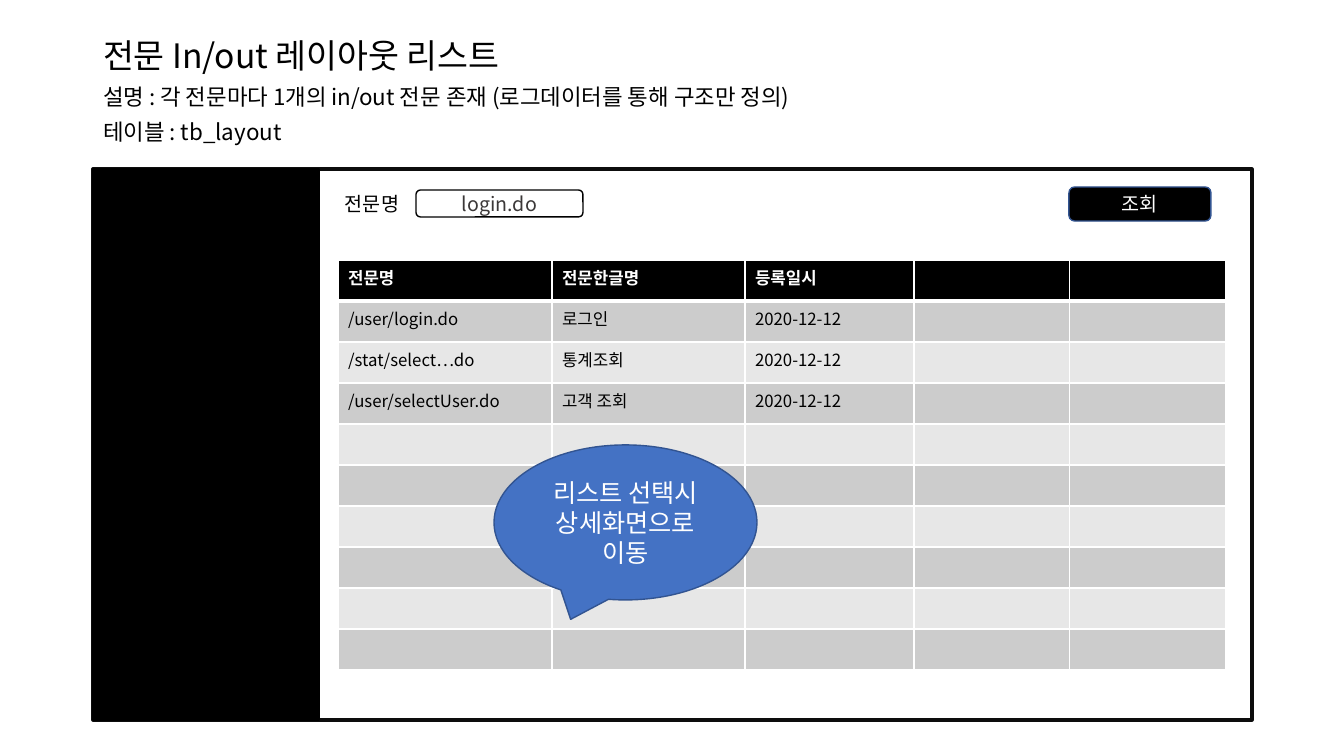
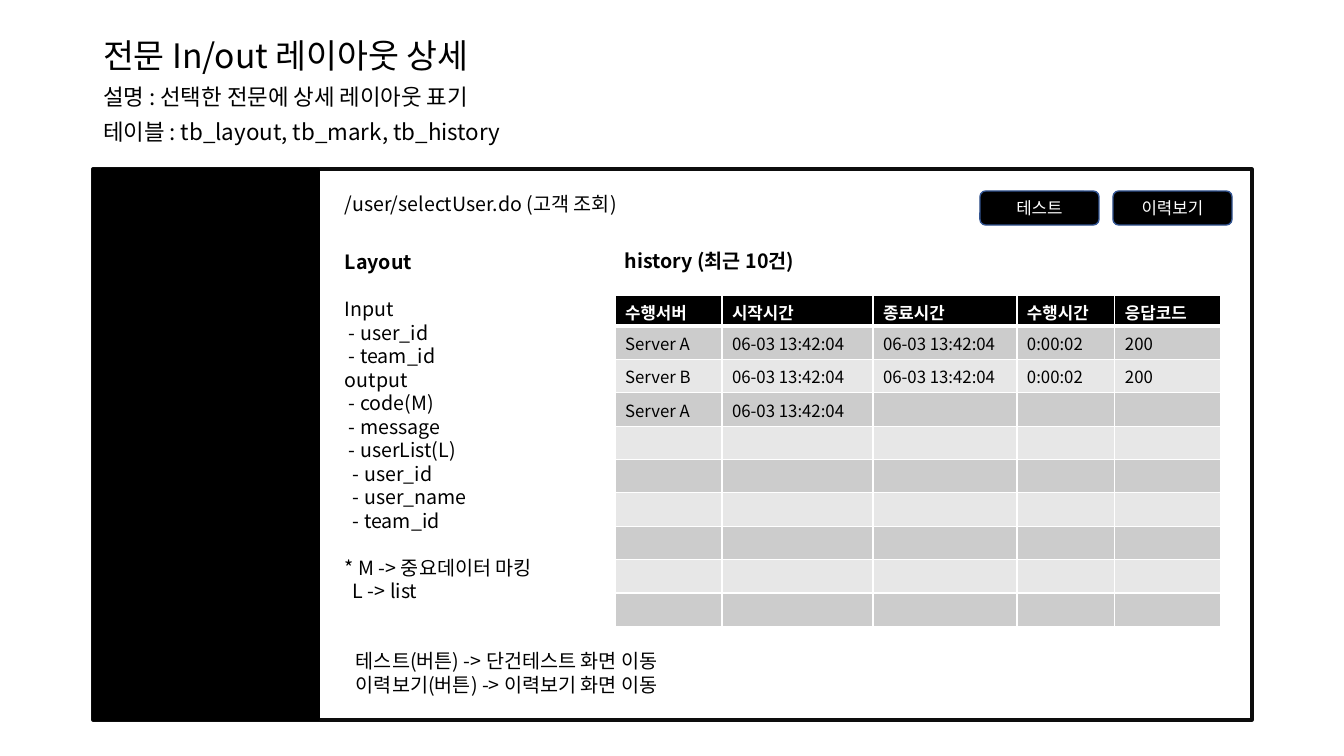
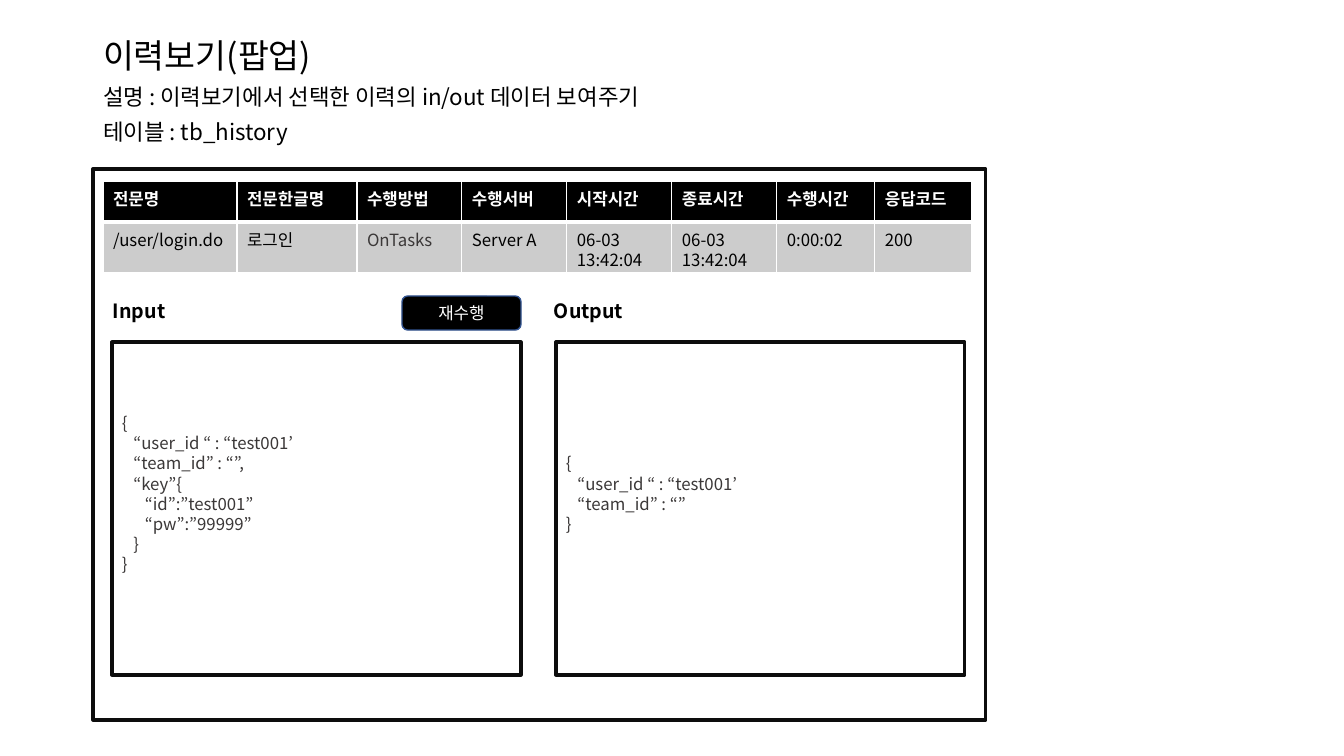
from dataclasses import dataclass

from lxml.etree import SubElement
from pptx import Presentation
from pptx.dml.color import RGBColor
from pptx.enum.shapes import MSO_SHAPE
from pptx.enum.text import MSO_ANCHOR, MSO_AUTO_SIZE, PP_ALIGN
from pptx.oxml.ns import qn
from pptx.util import Emu, Pt

PIXEL = 914400 / 100.8


def px(length):
    return Emu(round(length * PIXEL))


# Theme
@dataclass(frozen=True)
class Theme:
    font: str = "Noto Sans CJK KR"
    black: str = "000000"
    white: str = "FFFFFF"
    frame: str = "0D0D0D"
    muted: str = "3B3838"
    accent: str = "4472C4"
    edge: str = "325491"
    bands: tuple = ("CCCCCC", "E7E7E7")
    title: int = 24
    callout: int = 18
    subtitle: int = 16
    body: int = 14
    small: int = 12
    leading: float = 1.2
    tight: float = 0.96


@dataclass(frozen=True)
class Line:
    text: str
    indent: float = 0
    before: float = 0


class Wireframe:
    def __init__(self, theme):
        self.theme = theme
        self.deck = Presentation()
        self.deck.slide_width, self.deck.slide_height = px(1344), px(756)
        self.page = None

    def set_lines(self, frame, lines, size, color, bold=False,
                  align=PP_ALIGN.LEFT, leading=None):
        frame.word_wrap = True
        for number, line in enumerate(lines):
            if isinstance(line, str):
                line = Line(line)
            para = frame.paragraphs[0] if number == 0 else frame.add_paragraph()
            para.text = line.text
            para.alignment = align
            para.line_spacing = Pt(size * (leading or self.theme.leading))
            para.space_before = Pt(line.before)
            properties = para._p.get_or_add_pPr()
            properties.set("marL", str(px(line.indent)))
            properties.set("indent", "0")
            font = para.font
            font.name, font.size, font.bold = self.theme.font, Pt(size), bold
            font.color.rgb = RGBColor.from_string(color)
            SubElement(font._element, qn("a:ea"), typeface=self.theme.font)

    def heading(self, holder, place, lines, size):
        holder.left, holder.top, holder.width, holder.height = map(px, place)
        frame = holder.text_frame
        frame.auto_size = MSO_AUTO_SIZE.NONE
        frame.vertical_anchor = MSO_ANCHOR.TOP
        self.set_lines(frame, lines, size, self.theme.black,
                       leading=self.theme.tight)

    def start(self, title, description, tables):
        """Add a page with its heading lines."""
        self.page = self.deck.slides.add_slide(self.deck.slide_layouts[0])
        self.heading(self.page.shapes.title, (93, 38, 1008, 44), [title],
                     self.theme.title)
        self.heading(self.page.placeholders[1], (93, 83, 1008, 72),
                     [f"설명 : {description}", Line(f"테이블 : {tables}", before=10)],
                     self.theme.subtitle)

    def shape(self, kind, place, fill, edge, weight=1.0):
        shape = self.page.shapes.add_shape(kind, *map(px, place))
        shape.shadow.inherit = False
        if fill:
            shape.fill.solid()
            shape.fill.fore_color.rgb = RGBColor.from_string(fill)
        else:
            shape.fill.background()
        shape.line.color.rgb = RGBColor.from_string(edge)
        shape.line.width = Pt(weight)
        return shape

    def panel(self, *place):
        return self.shape(MSO_SHAPE.FLOWCHART_PROCESS, place, self.theme.white,
                          self.theme.frame, 2.25)

    def screen(self):
        """Draw the window with its side menu."""
        self.panel(93, 169, 1159, 551)
        self.shape(MSO_SHAPE.RECTANGLE, (93, 169, 226, 551), self.theme.black,
                   self.theme.black)

    def centred(self, shape, text, size, color):
        shape.text_frame.vertical_anchor = MSO_ANCHOR.MIDDLE
        self.set_lines(shape.text_frame, [text], size, color,
                       align=PP_ALIGN.CENTER)

    def button(self, text, left, top, width=119, size=None):
        shape = self.shape(MSO_SHAPE.ROUNDED_RECTANGLE, (left, top, width, 34),
                           self.theme.black, self.theme.edge)
        self.centred(shape, text, size or self.theme.small, self.theme.white)

    def field(self, text, *place):
        shape = self.shape(MSO_SHAPE.ROUNDED_RECTANGLE, place, None,
                           self.theme.black)
        self.centred(shape, text, self.theme.body, self.theme.muted)

    def callout(self, text, *place):
        shape = self.shape(MSO_SHAPE.OVAL_CALLOUT, place, self.theme.accent,
                           self.theme.edge)
        self.centred(shape, text, self.theme.callout, self.theme.white)

    def listing(self, lines, *place):
        frame = self.panel(*place).text_frame
        frame.vertical_anchor = MSO_ANCHOR.MIDDLE
        frame.margin_bottom = px(35)
        self.set_lines(frame, lines, self.theme.small, self.theme.muted)

    def text(self, lines, *place, bold=False):
        box = self.page.shapes.add_textbox(*map(px, place))
        self.set_lines(box.text_frame, lines, self.theme.body, self.theme.black,
                       bold)

    def cell(self, cell, text, fill, color, bold, top, bottom):
        properties = cell._tc.get_or_add_tcPr()
        for side, weight in zip("LRTB", (1, 1, top, bottom)):
            border = SubElement(properties, qn(f"a:ln{side}"), w=str(Pt(weight)))
            paint = SubElement(border, qn("a:solidFill"))
            SubElement(paint, qn("a:srgbClr"), val=self.theme.white)
        cell.fill.solid()
        cell.fill.fore_color.rgb = RGBColor.from_string(fill)
        cell.margin_top, cell.margin_bottom = px(9), px(1)
        self.set_lines(cell.text_frame, [text], self.theme.small, color, bold)

    def table(self, left, top, widths, heights, rows, muted=()):
        """Fill a banded table; missing cells stay empty."""
        grid = self.page.shapes.add_table(
            len(heights), len(widths), px(left), px(top),
            px(sum(widths)), px(sum(heights))).table
        for column, width in zip(grid.columns, widths):
            column.width = px(width)
        for r, height in enumerate(heights):
            grid.rows[r].height = px(height)
            values = rows[r] if r < len(rows) else []
            for c in range(len(widths)):
                text = values[c] if c < len(values) else ""
                fill = self.theme.bands[(r - 1) % 2] if r else self.theme.black
                color = self.theme.black if r else self.theme.white
                if text in muted:
                    color = self.theme.muted
                self.cell(grid.cell(r, c), text, fill, color, bold=r == 0,
                          top=3 if r == 1 else 1, bottom=1 if r else 3)


theme = Theme()
wireframe = Wireframe(theme)

# Layout list
wireframe.start("전문 In/out 레이아웃 리스트",
                "각 전문마다 1개의 in/out 전문 존재 (로그데이터를 통해 구조만 정의)",
                "tb_layout")
wireframe.screen()
wireframe.field("login.do", 416, 190, 167, 27)
wireframe.text(["전문명"], 335, 187, 119, 34)
wireframe.button("조회", 1069, 187, 142, theme.body)
wireframe.table(338, 260, [214, 193, 169, 156, 156], [41] * 10, [
    ["전문명", "전문한글명", "등록일시"],
    ["/user/login.do", "로그인", "2020-12-12"],
    ["/stat/select…do", "통계조회", "2020-12-12"],
    ["/user/selectUser.do", "고객 조회", "2020-12-12"],
])
wireframe.callout("리스트 선택시 상세화면으로 이동", 494, 445, 263, 155)

# Layout detail
wireframe.start("전문 In/out 레이아웃 상세", "선택한 전문에 상세 레이아웃 표기",
                "tb_layout, tb_mark, tb_history")
wireframe.screen()
wireframe.text(["/user/selectUser.do (고객 조회)"], 335, 187, 536, 82)
wireframe.button("테스트", 980, 191)
wireframe.button("이력보기", 1113, 191)
blank = theme.body * theme.leading
wireframe.text(["Layout"], 335, 245, 248, 34, bold=True)
wireframe.text([
    "Input", Line("- user_id", 4), Line("- team_id", 4),
    "output", Line("- code(M)", 4), Line("- message", 4), Line("- userList(L)", 4),
    Line("- user_id", 8), Line("- user_name", 8), Line("- team_id", 8),
    Line("* M -> 중요데이터 마킹", before=blank), Line("L -> list", 8),
], 335, 292, 248, 320)
wireframe.text(["history (최근 10건)"], 615, 244, 248, 34, bold=True)
started = "06-03 13:42:04"
finished = [started, started, "0:00:02", "200"]
wireframe.table(615, 295, [107, 151, 144, 98, 106], [31] + [33.4] * 9, [
    ["수행서버", "시작시간", "종료시간", "수행시간", "응답코드"],
    ["Server A", *finished],
    ["Server B", *finished],
    ["Server A", started],
])
wireframe.text(["테스트(버튼) -> 단건테스트 화면 이동",
                "이력보기(버튼) -> 이력보기 화면 이동"], 346, 644, 536, 105)

# History popup
wireframe.start("이력보기(팝업)", "이력보기에서 선택한 이력의 in/out 데이터 보여주기",
                "tb_history")
wireframe.panel(93, 169, 893, 551)
wireframe.table(103, 181, [134, 120, 105, 105, 105, 105, 98, 97], [41, 51], [
    ["전문명", "전문한글명", "수행방법", "수행서버", "시작시간", "종료시간",
     "수행시간", "응답코드"],
    ["/user/login.do", "로그인", "OnTasks", "Server A", *finished],
], muted=["OnTasks"])
user = Line("“user_id “ : “test001’", 11.5)
wireframe.listing([
    "{", user, Line("“team_id” : “”,", 11.5), Line("“key”{", 11.5),
    Line("“id”:”test001”", 23), Line("“pw”:”99999”", 23), Line("}", 11.5), "}",
], 112, 342, 409, 333)
wireframe.listing(["{", user, Line("“team_id” : “”", 11.5), "}"],
                  556, 342, 409, 333)
wireframe.text(["Input"], 103, 294, 318, 34, bold=True)
wireframe.text(["Output"], 544, 294, 318, 34, bold=True)
wireframe.button("재수행", 402, 296)

wireframe.deck.save("out.pptx")
